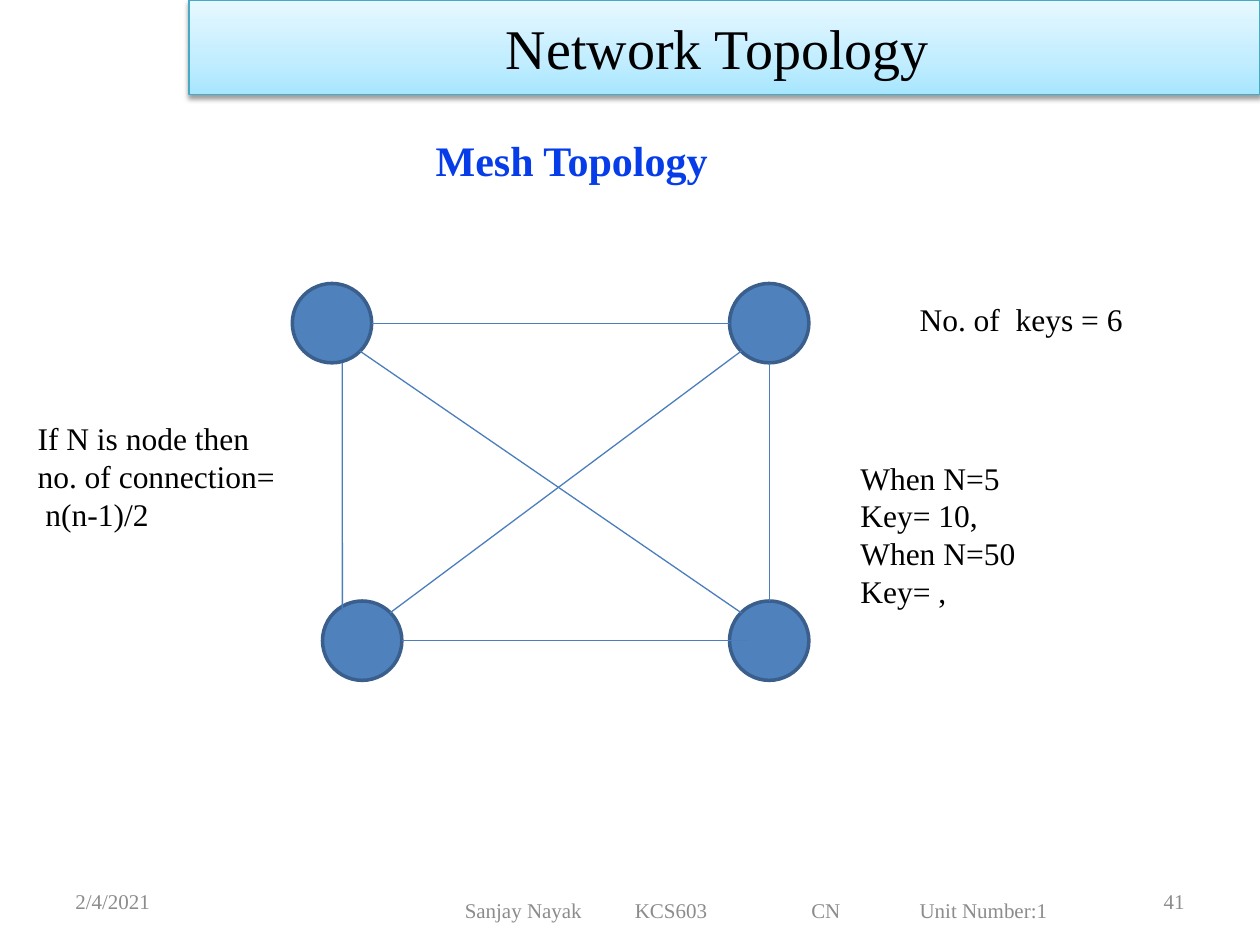
import copy

import pptx
import pptx.dml.color
import pptx.enum.shapes
import pptx.enum.text
import pptx.oxml
import pptx.oxml.ns
import pptx.util
from pptx.util import Inches

COLORS = {
    "black": "000000",
    "heading": "063DE8",
    "footer": "8C8C8C",
    "node": "4F81BD",
    "node_line": "3A5F8C",
    "link": "4B7EBC",
    "banner_line": "46AAC5",
}
BANNER_STOPS = [(0, "A7E6FF"), (0.35, "C1EDFF"), (1, "E7F8FF")]
ALIGN = pptx.enum.text.PP_ALIGN
ANCHOR = pptx.enum.text.MSO_ANCHOR
SHAPES = pptx.enum.shapes.MSO_SHAPE
NAMESPACE = pptx.oxml.ns.nsdecls("a")


def rgb(name):
    """Return the colour stored under a name."""
    return pptx.dml.color.RGBColor.from_string(COLORS[name])


def write_text(shape, text, size=18, color="black", bold=False, align=ALIGN.LEFT,
               anchor=ANCHOR.TOP, wrap=True):
    """Fill a shape with formatted text, one paragraph per line."""
    frame = shape.text_frame
    frame.word_wrap = wrap
    frame.vertical_anchor = anchor
    frame.text = text
    for paragraph in frame.paragraphs:
        paragraph.alignment = align
        font = paragraph.runs[0].font
        font.name = "Times New Roman"
        font.size = pptx.util.Pt(size)
        font.bold = bold
        font.color.rgb = rgb(color)


def add_text(slide, box, text, **style):
    """Add a text box in the given box and return it."""
    shape = slide.shapes.add_textbox(*map(Inches, box))
    write_text(shape, text, **style)
    return shape


def add_shape(slide, kind, box, line_color, line_width):
    """Add an outlined preset shape without a shadow and return it."""
    shape = slide.shapes.add_shape(kind, *map(Inches, box))
    shape.shadow.inherit = False
    shape.line.color.rgb = rgb(line_color)
    shape.line.width = pptx.util.Pt(line_width)
    return shape


def add_link(slide, start, end):
    """Draw a thin link between two points."""
    connector = slide.shapes.add_connector(
        pptx.enum.shapes.MSO_CONNECTOR.STRAIGHT, *map(Inches, start + end))
    connector.line.color.rgb = rgb("link")
    connector.line.width = pptx.util.Pt(0.75)
    connector._element.spPr.append(pptx.oxml.parse_xml(f"<a:effectLst {NAMESPACE}/>"))


def add_banner(slide, box, text):
    """Add the title banner with its gradient and soft shadow."""
    banner = add_shape(slide, SHAPES.RECTANGLE, box, "banner_line", 0.75)
    banner.fill.gradient()
    banner.fill.gradient_angle = 90
    stop_list = banner._element.spPr.find(".//" + pptx.oxml.ns.qn("a:gsLst"))
    stop_list.append(copy.deepcopy(stop_list[0]))
    for stop, (position, color) in zip(banner.fill.gradient_stops, BANNER_STOPS):
        stop.position = position
        stop.color.rgb = pptx.dml.color.RGBColor.from_string(color)
    effects = banner._element.spPr.find(pptx.oxml.ns.qn("a:effectLst"))
    effects.append(pptx.oxml.parse_xml(
        f'<a:outerShdw {NAMESPACE} blurRad="{pptx.util.Pt(3.1)}" '
        f'dist="{pptx.util.Pt(1.6)}" dir="5400000" rotWithShape="0">'
        f'<a:srgbClr val="{COLORS["black"]}"><a:alpha val="38000"/></a:srgbClr>'
        "</a:outerShdw>"))
    write_text(banner, text, size=32, align=ALIGN.CENTER, anchor=ANCHOR.MIDDLE)


def add_mesh(slide, box):
    """Draw four nodes in the box and a link between each pair."""
    left, top, width, height = box
    size = 0.63
    right, bottom = left + width - size, top + height - size
    nodes = {
        "top_left": (left, top),
        "bottom_left": (left + 0.24, bottom),
        "bottom_right": (right, bottom),
        "top_right": (right, top),
    }
    links = [
        ("top_left", (1, 0.5), "top_right", (0, 0.5)),
        ("bottom_left", (1, 0.5), "bottom_right", (0.24, 0.5)),
        ("bottom_left", (0.25, 0.13), "top_left", (0.63, 1)),
        ("top_right", (0.5, 1), "bottom_right", (0.5, 0)),
        ("top_left", (0.85, 0.85), "bottom_right", (0.15, 0.15)),
        ("top_right", (0.15, 0.85), "bottom_left", (0.85, 0.15)),
    ]
    for corner in nodes.values():
        node = add_shape(slide, SHAPES.OVAL, corner + (size, size), "node_line", 2)
        node.fill.solid()
        node.fill.fore_color.rgb = rgb("node")

    def point(name, share):
        """Return the point at a share of a node's width and height."""
        return tuple(start + size * part for start, part in zip(nodes[name], share))

    for first, first_share, second, second_share in links:
        add_link(slide, point(first, first_share), point(second, second_share))


def add_footer(slide, box):
    """Add the date, the course line and the slide number."""
    left, top, width, height = box
    side = 2.33
    style = {"size": 12, "color": "footer", "anchor": ANCHOR.MIDDLE}
    add_text(slide, (left, top, side, height), "2/4/2021", **style)
    add_text(slide, (left + width - side, top, side, height), "41",
             align=ALIGN.RIGHT, **style)
    course = add_text(slide, (left + 3.09, top, 5.01, 0.55),
                      "Sanjay Nayak\tKCS603\tCN\tUnit Number:1", **style)
    properties = course.text_frame.paragraphs[0]._p.get_or_add_pPr()
    stops = "".join(f'<a:tab pos="{Inches(stop)}" algn="l"/>'
                    for stop in (1.35, 2.75, 3.61))
    properties.append(pptx.oxml.parse_xml(f"<a:tabLst {NAMESPACE}>{stops}</a:tabLst>"))


def main():
    """Build the slide and save it."""
    presentation = pptx.Presentation()
    presentation.slide_width = Inches(10)
    presentation.slide_height = Inches(7.5)
    slide = presentation.slides.add_slide(presentation.slide_layouts[6])
    add_text(slide, (3.36, 1.02, 2.38, 0.5), "Mesh Topology", size=24,
             color="heading", bold=True, wrap=False)
    add_banner(slide, (1.5, 0, 8.5, 0.75), "Network Topology ")
    add_footer(slide, (0.5, 6.95, 9, 0.4))
    add_mesh(slide, (2.32, 2.25, 4.1, 3.15))
    add_text(slide, (7.2, 2.33, 2.13, 0.4), "No. of  keys = 6")
    add_text(slide, (6.73, 3.59, 2.99, 1.92),
             "When N=5\nKey= 10,\nWhen N=50\nKey= ,")
    add_text(slide, (0.2, 3.28, 2.13, 1.01),
             "If N is node then no. of connection=\n n(n-1)/2")
    presentation.save("out.pptx")


if __name__ == "__main__":
    main()
